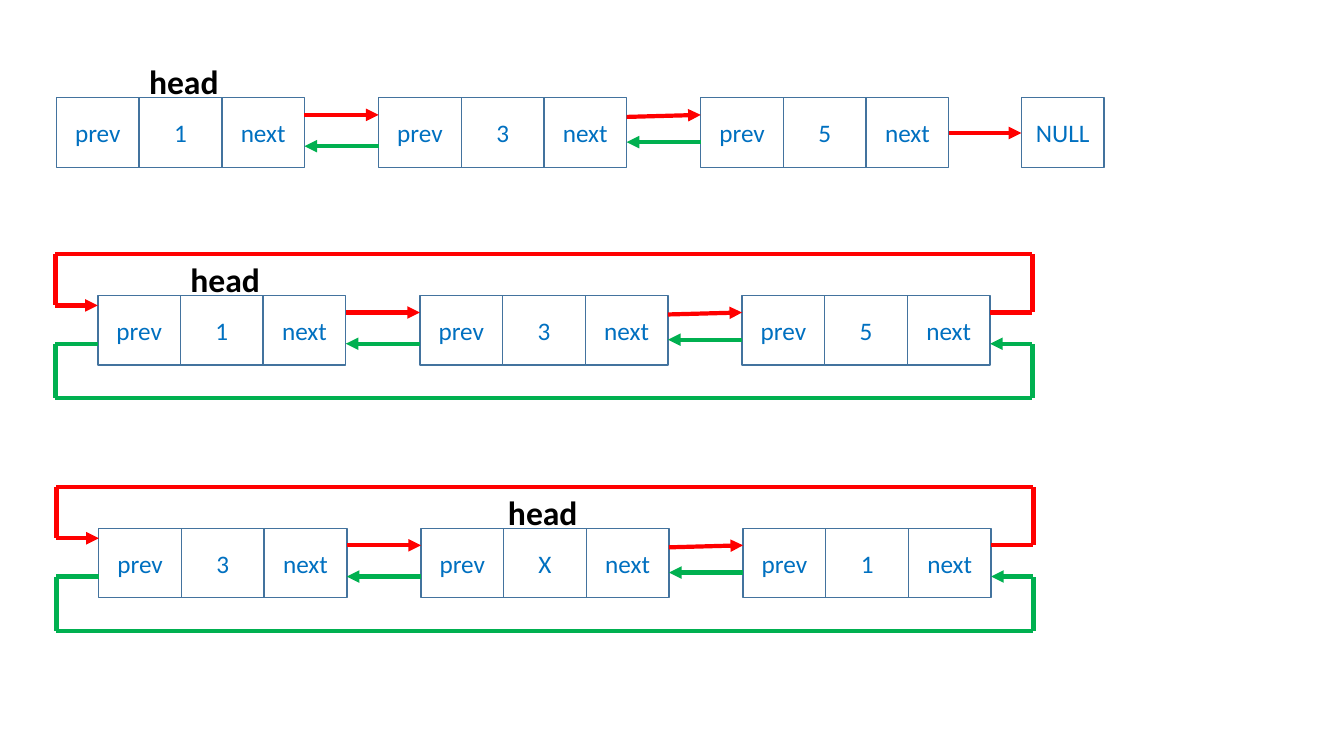
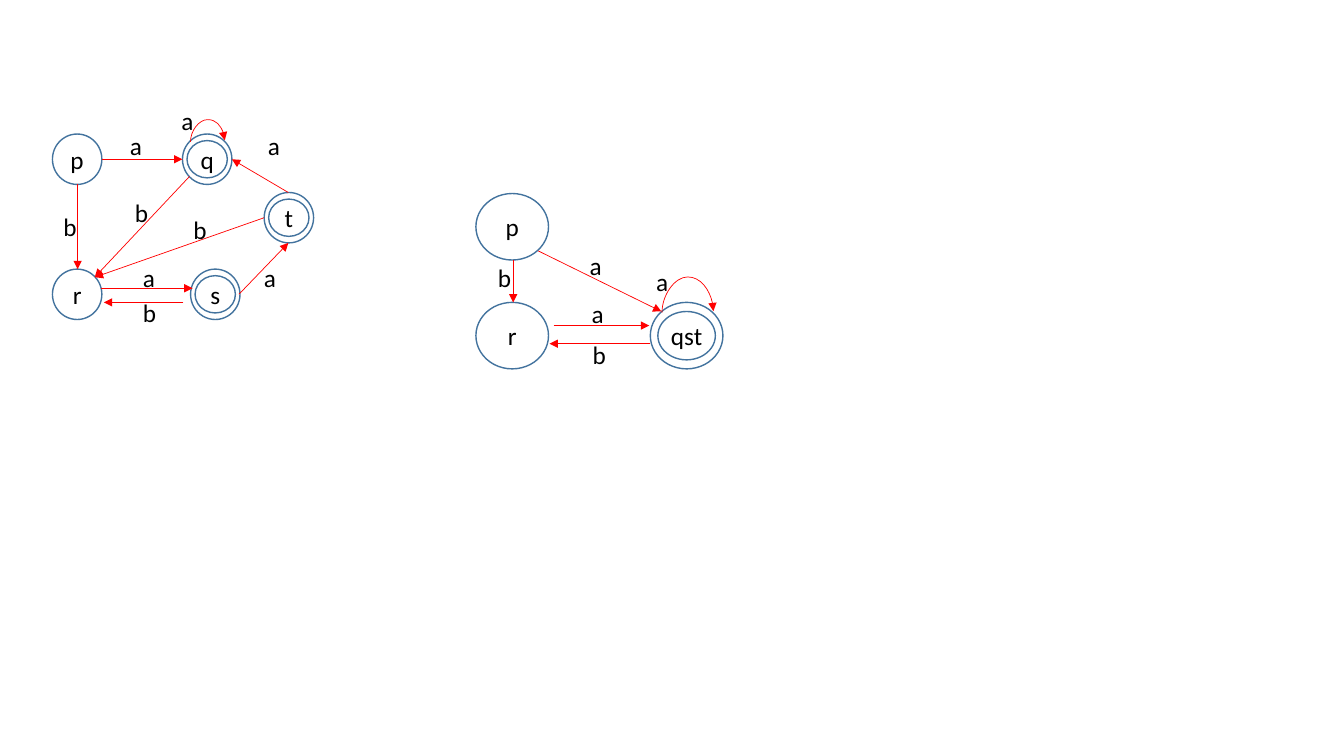
from dataclasses import dataclass

from lxml import etree
from pptx import Presentation
from pptx import util as u
from pptx.dml.color import RGBColor
from pptx.enum import shapes, text
from pptx.oxml import ns


@dataclass(frozen=True)
class Theme:
    font: str = "Calibri"
    outline: RGBColor = RGBColor(0x43, 0x73, 0x9E)
    cell_text: RGBColor = RGBColor(0x00, 0x70, 0xC0)
    ink: RGBColor = RGBColor(0, 0, 0)
    paper: RGBColor = RGBColor(255, 255, 255)
    red: RGBColor = RGBColor(255, 0, 0)
    green: RGBColor = RGBColor(0x00, 0xB0, 0x50)
    body: int = 18
    heading: int = 24
    thin: float = 0.5
    border: float = 1
    thick: float = 3


theme = Theme()
deck = Presentation()
deck.slide_width, deck.slide_height = u.Inches(13.33), u.Inches(7.5)
UNIT = deck.slide_height / 75  # square grid: 75 rows, about 133 columns
BLANK = deck.slide_layouts[6]
RECT, OVAL = shapes.MSO_SHAPE.RECTANGLE, shapes.MSO_SHAPE.OVAL


def put(page, kind, area, words="", color=theme.ink, fill=None, heading=False):
    """Add an outlined shape with centred text, or a plain text box if kind is None."""
    place = [round(n * UNIT) for n in area]
    if kind is None:
        box = page.shapes.add_textbox(*place)
    else:
        box = page.shapes.add_shape(kind, *place)
        box.shadow.inherit = False
        box.line.color.rgb = theme.outline
        box.line.width = u.Pt(theme.border)
        if fill is None:
            box.fill.background()
        else:
            box.fill.solid()
            box.fill.fore_color.rgb = fill
        box.text_frame.vertical_anchor = text.MSO_ANCHOR.MIDDLE
    if words:
        box.text_frame.word_wrap = False
        para = box.text_frame.paragraphs[0]
        para.text = words
        para.alignment = text.PP_ALIGN.LEFT if kind is None else text.PP_ALIGN.CENTER
        para.font.name = theme.font
        para.font.size = u.Pt(theme.heading if heading else theme.body)
        para.font.bold = heading
        para.font.color.rgb = color


def link(page, points, color, width, kind=shapes.MSO_CONNECTOR.STRAIGHT):
    """Join the points in order, with an arrowhead at the last; return the last line."""
    for start, end in zip(points, points[1:]):
        line = page.shapes.add_connector(
            kind, *(round(n * UNIT) for n in (*start, *end)))
        line.line.color.rgb = color
        line.line.width = u.Pt(width)
        etree.SubElement(line._element.spPr, ns.qn("a:effectLst"))
    stroke = line._element.spPr.find(ns.qn("a:ln"))
    etree.SubElement(stroke, ns.qn("a:tailEnd"), type="triangle")
    return line


# Linked lists
CELL_W, CELL_H, PITCH = 8.2, 6.9, 31.95
NODE_W = 3 * CELL_W
LIST_W = 2 * PITCH + NODE_W
RAIL = 4.2
page = deck.slides.add_slide(BLANK)
# left, top, values, left of the head label, circular
lists = [
    (5.6, 9.7, "135", 13.8, False),
    (9.7, 29.3, "135", 17.9, True),
    (9.8, 52.4, "3X1", 49.4, True),
]
for left, top, values, head_left, circular in lists:
    for index, value in enumerate(values):
        for column, words in enumerate(("prev", value, "next")):
            put(page, RECT, (left + index * PITCH + column * CELL_W, top, CELL_W, CELL_H),
                words, theme.cell_text)
    put(page, None, (head_left, top - 4.1, 10.3, 5), "head", heading=True)

    # start and end of each next arrow, then the height of the prev arrow
    for index, (leave, arrive, back) in enumerate([(1.7, 1.7, 4.8), (1.9, 1.7, 4.4)]):
        near, far = left + index * PITCH + NODE_W, left + (index + 1) * PITCH
        link(page, [(near, top + leave), (far, top + arrive)], theme.red, theme.thick)
        link(page, [(far, top + back), (near, top + back)], theme.green, theme.thick)

    end = left + LIST_W
    if circular:
        west, east = left - RAIL, end + RAIL
        link(page, [(end, top + 1.7), (east, top + 1.7), (east, top - 4.1),
                    (west, top - 4.1), (west, top + 1), (left, top + 1)],
             theme.red, theme.thick)
        link(page, [(left, top + 4.8), (west, top + 4.8), (west, top + 10.2),
                    (east, top + 10.2), (east, top + 4.8), (end, top + 4.8)],
             theme.green, theme.thick)
    else:
        null_left = end + 7.2
        put(page, RECT, (null_left, top, CELL_W, CELL_H), "NULL", theme.cell_text)
        link(page, [(end, top + 3.5), (null_left, top + 3.5)], theme.red, theme.thick)

# State machines
page = deck.slides.add_slide(BLANK)
# state size, ring size, states (name, left, top, accepting)
machines = [
    ((4.9, 5), (4, 3.7), [("p", 5.2, 13.3, False), ("q", 18.1, 13.3, True),
                          ("t", 26.2, 19.1, True), ("r", 5.2, 26.7, False),
                          ("s", 18.9, 26.7, True)]),
    ((7.2, 6.6), (5.7, 4.8), [("p", 47.2, 19.2, False), ("r", 47.2, 30, False),
                              ("qst", 64.5, 30, True)]),
]
for (width, height), (ring_w, ring_h), states in machines:
    for name, left, top, accepting in states:
        put(page, OVAL, (left, top, width, height), name, fill=theme.paper)
        if accepting:
            put(page, OVAL, (left + (width - ring_w) / 2, top + (height - ring_h) / 2,
                             ring_w, ring_h))

# start, end, label, left and top of the label
moves = [
    ((10.1, 15.8), (18.1, 15.8), "a", 11.9, 12.4),
    ((7.7, 18.3), (7.7, 26.7), "b", 5.3, 20.5),
    ((18.8, 17.5), (9.4, 27.5), "b", 12.4, 19.1),
    ((28.6, 19.1), (23, 15.8), "a", 25.6, 12.4),
    ((26.2, 21.6), (9.4, 27.5), "b", 18.2, 20.8),
    ((10, 28.6), (19.1, 28.6), "a", 13.2, 25.5),
    ((18.2, 30), (10.3, 30), "b", 13.2, 29),
    ((23.7, 29.2), (28.6, 24.1), "a", 25.2, 25.5),
    ((50.9, 25.8), (50.9, 30), "b", 48.4, 25.5),
    ((53.4, 24.9), (65.6, 30.9), "a", 57.5, 24.3),
    ((54.9, 32.3), (64.4, 32.3), "a", 57.7, 29.1),
    ((64.5, 34.1), (54.5, 34.1), "b", 57.8, 33.2),
]
for start, end, label, left, top in moves:
    link(page, [start, end], theme.red, theme.thin)
    put(page, None, (left, top, 3.3, 4), label)

# Self loops: an S-curve turned upright, its bend pushed above both ends
DROP = 0.14
# centre, span, rise, left and top of the label
loops = [
    ((20.6, 14), 3.4, 2.17, 17, 10),
    ((68.2, 30.95), 5.1, 3.5, 64.1, 25.9),
]
for (x, y), span, rise, left, top in loops:
    curve = link(page, [(x + DROP / 2, y + span / 2), (x - DROP / 2, y - span / 2)],
                 theme.red, theme.thin, shapes.MSO_CONNECTOR.CURVE)
    outline = curve._element.spPr
    outline.find(ns.qn("a:xfrm")).set("rot", "5400000")
    guides = outline.find(ns.qn("a:prstGeom")).find(ns.qn("a:avLst"))
    etree.SubElement(guides, ns.qn("a:gd"), name="adj1",
                     fmla=f"val {round(rise / DROP * 100000)}")
    put(page, None, (left, top, 3.3, 4), "a")

deck.save("out.pptx")
